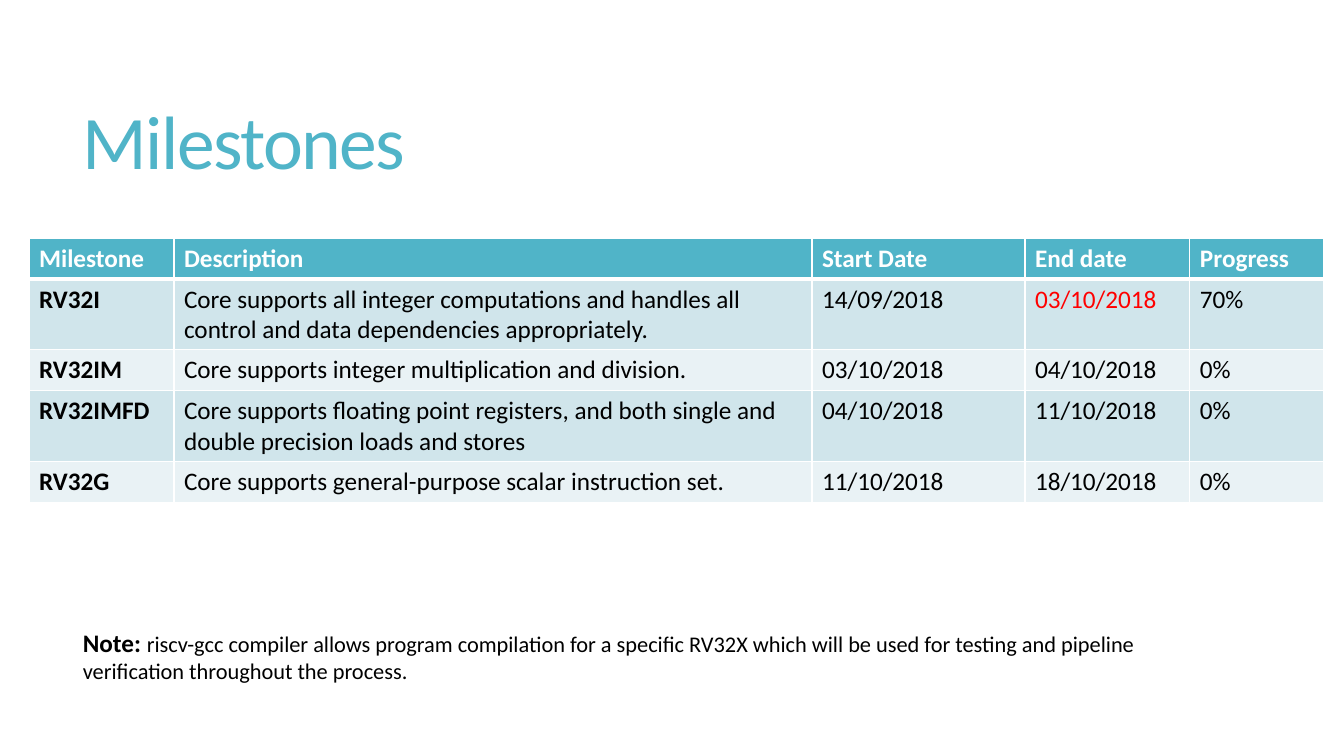
from lxml import etree
from pptx import Presentation
from pptx.dml.color import RGBColor
from pptx.enum.text import MSO_ANCHOR, MSO_AUTO_SIZE
from pptx.oxml.ns import qn
from pptx.util import Pt

EMU_PER_PX = 914400 / 100.8
COLORS = {
    "accent": "50B4C8",
    "white": "FFFFFF",
    "black": "000000",
    "late": "FF0000",
    "odd": "D0E5EB",
    "even": "E9F2F5",
}
HEADER = ["Milestone", "Description", "Start Date", "End date", "Progress"]
MILESTONES = [
    ["RV32I", "Core supports all integer computations and handles all control "
     "and data dependencies appropriately.", "14/09/2018", "03/10/2018", "70%"],
    ["RV32IM", "Core supports integer multiplication and division.",
     "03/10/2018", "04/10/2018", "0%"],
    ["RV32IMFD", "Core supports floating point registers, and both single and "
     "double precision loads and stores", "04/10/2018", "11/10/2018", "0%"],
    ["RV32G", "Core supports general-purpose scalar instruction set.",
     "11/10/2018", "18/10/2018", "0%"],
]
LATE_CELL = (1, 3)
COLUMN_WIDTHS = [145, 638, 213, 165, 134]
ROW_HEIGHT = 41


def px(n):
    return round(n * EMU_PER_PX)


def rgb(name):
    return RGBColor.from_string(COLORS[name])


class SlideBuilder:
    font = "Calibri"

    def __init__(self, prs):
        self.slide = prs.slides.add_slide(prs.slide_layouts[6])

    def run(self, p, text, size, color="black", bold=False, spacing=None):
        r = p.add_run()
        r.text = text
        style = {"name": self.font, "size": Pt(size), "bold": bold}
        for key, value in style.items():
            setattr(r.font, key, value)
        r.font.color.rgb = rgb(color)
        if spacing is not None:
            r.font._element.set("spc", str(round(spacing * 100)))

    def text(self, box, runs, line_spacing=None, **frame):
        s = self.slide.shapes.add_textbox(*map(px, box))
        tf = s.text_frame
        for key, value in {"word_wrap": True, **frame}.items():
            setattr(tf, key, value)
        p = tf.paragraphs[0]
        p.line_spacing = line_spacing
        for run in runs:
            self.run(p, **run)

    def borders(self, cell, bottom):
        """White rules on all four sides; bottom is the lower rule in points."""
        tc_pr = cell._tc.get_or_add_tcPr()
        for side, width in {"L": 1, "R": 1, "T": 1, "B": bottom}.items():
            ln = etree.SubElement(tc_pr, qn(f"a:ln{side}"), w=str(Pt(width)))
            fill = etree.SubElement(ln, qn("a:solidFill"))
            etree.SubElement(fill, qn("a:srgbClr"), val=COLORS["white"])

    def cell(self, cell, text, fill, color, bold, bottom):
        self.borders(cell, bottom)
        cell.fill.solid()
        cell.fill.fore_color.rgb = rgb(fill)
        self.run(cell.text_frame.paragraphs[0], text, 18, color, bold)

    def table(self, left, top, rows, widths, row_height):
        box = left, top, sum(widths), row_height * len(rows)
        s = self.slide.shapes.add_table(len(rows), len(widths), *map(px, box))
        table = s.table
        for column, width in zip(table.columns, widths):
            column.width = px(width)
        for i, row in enumerate(rows):
            header = i == 0
            fill = "accent" if header else "odd" if i % 2 else "even"
            for j, text in enumerate(row):
                color = "white" if header else "black"
                if (i, j) == LATE_CELL:
                    color = "late"
                self.cell(table.cell(i, j), text, fill, color,
                          bold=header or j == 0,
                          bottom=3 if header else 1)


def main():
    prs = Presentation()
    prs.slide_width, prs.slide_height = px(1344), px(756)
    builder = SlideBuilder(prs)
    builder.text(
        (73, 55, 1187, 182),
        [{"text": "Milestones", "size": 54, "color": "accent", "spacing": -1.2}],
        line_spacing=0.85, vertical_anchor=MSO_ANCHOR.MIDDLE)
    builder.table(29, 238, [HEADER] + MILESTONES, COLUMN_WIDTHS, ROW_HEIGHT)
    builder.text(
        (73, 622, 1130, 68),
        [{"text": "Note: ", "size": 18, "bold": True},
         {"text": "riscv-gcc compiler allows program compilation for a specific "
                  "RV32X which will be used for testing and pipeline "
                  "verification throughout the process.", "size": 16}],
        auto_size=MSO_AUTO_SIZE.SHAPE_TO_FIT_TEXT)
    prs.save("out.pptx")


if __name__ == "__main__":
    main()
